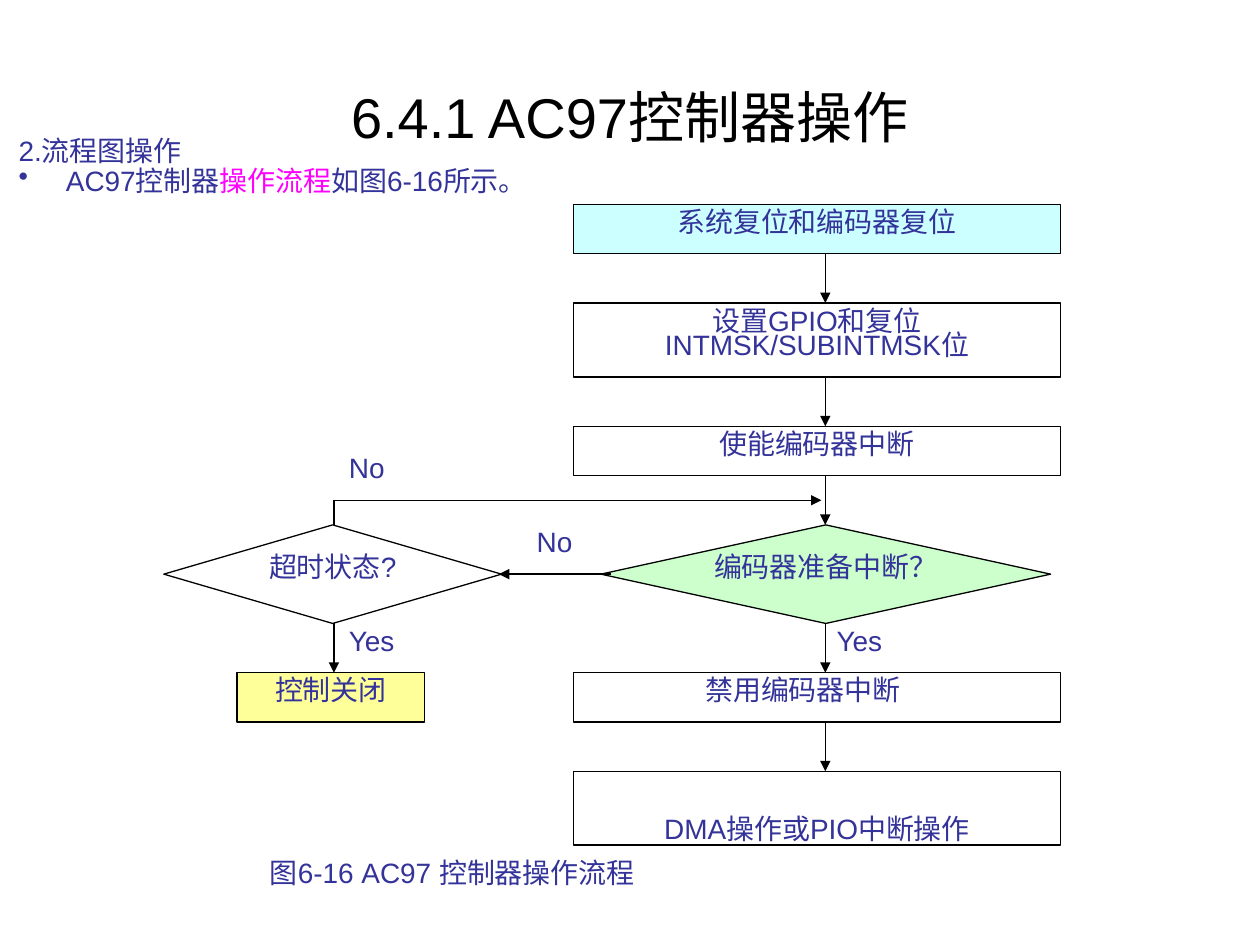
import pptx
import pptx.dml.color
import pptx.enum.shapes
import pptx.enum.text
import pptx.oxml.ns
import pptx.util
from lxml import etree

Pt = pptx.util.Pt
SHAPES = pptx.enum.shapes.MSO_SHAPE
ALIGN = pptx.enum.text.PP_ALIGN
ANCHOR = pptx.enum.text.MSO_ANCHOR

INK = "333399"
BLACK = "000000"
WHITE = "FFFFFF"
ROW_TOP, ROW_STEP = 116.9, 14.08
MAIN_LEFT, MAIN_WIDTH = 327.6, 278.6
MAIN_AXIS, SIDE_AXIS = 471.6, 190.8


def row(number):
    return round(ROW_TOP + ROW_STEP * number, 2)


def color(value):
    return pptx.dml.color.RGBColor.from_string(value)


def add_child(parent, tag, **attributes):
    return etree.SubElement(parent, pptx.oxml.ns.qn(tag), **attributes)


def style_paragraph(paragraph, align, size=16, ink=INK):
    paragraph.alignment = align
    paragraph.font.name = "Arial"
    paragraph.font.size = Pt(size)
    paragraph.font.color.rgb = color(ink)


def set_margins(frame, left=0, top=0, right=0, bottom=0):
    frame.margin_left, frame.margin_top = Pt(left), Pt(top)
    frame.margin_right, frame.margin_bottom = Pt(right), Pt(bottom)


def add_text(slide, text, left, top, width, height, align=ALIGN.LEFT,
             size=16, ink=INK, anchor=ANCHOR.TOP, wrap=True):
    box = slide.shapes.add_textbox(Pt(left), Pt(top), Pt(width), Pt(height))
    frame = box.text_frame
    frame.word_wrap = wrap
    frame.vertical_anchor = anchor
    set_margins(frame)
    frame.text = text
    style_paragraph(frame.paragraphs[0], align, size, ink)
    return frame


def add_intro(slide):
    frame = add_text(slide, "2.流程图操作", 3.6, 77.8, 648, 39.6)
    set_margins(frame, 7.2, 3.6, 7.2, 3.6)
    bullet_paragraph = frame.add_paragraph()
    for text, ink in (("AC97控制器", INK), ("操作流程", "FF00FF"), ("如图6-16所示。", INK)):
        run = bullet_paragraph.add_run()
        run.text = text
        run.font.color.rgb = color(ink)
    bullet_paragraph.space_before = Pt(4)
    for paragraph in frame.paragraphs:
        paragraph.line_spacing = 0.7
    properties = bullet_paragraph._p.get_or_add_pPr()
    properties.set("marL", str(Pt(27)))
    properties.set("indent", str(-Pt(27)))
    bullet_color = add_child(properties, "a:buClr")
    add_child(bullet_color, "a:srgbClr", val=INK)
    add_child(properties, "a:buChar", char="•")
    style_paragraph(bullet_paragraph, ALIGN.LEFT)


def add_node(slide, kind, lines, left, width, first_row, last_row, fill=WHITE):
    top = row(first_row)
    shape = slide.shapes.add_shape(
        kind, Pt(left), Pt(top), Pt(width), Pt(row(last_row) - top))
    shape.shadow.inherit = False
    shape.fill.solid()
    shape.fill.fore_color.rgb = color(fill)
    shape.line.color.rgb = color(BLACK)
    shape.line.width = Pt(0.75)
    frame = shape.text_frame
    frame.word_wrap = kind != SHAPES.FLOWCHART_DECISION
    frame.vertical_anchor = ANCHOR.TOP
    set_margins(frame)
    frame.text = "\n".join(lines)
    for paragraph in frame.paragraphs:
        style_paragraph(paragraph, ALIGN.CENTER)
    for paragraph in frame.paragraphs[1:]:
        paragraph.line_spacing = Pt(14)
    return frame


def add_step(slide, lines, first_row, last_row, fill=WHITE):
    return add_node(slide, SHAPES.FLOWCHART_PROCESS, lines, MAIN_LEFT, MAIN_WIDTH,
                    first_row, last_row, fill)


def add_line(slide, start_x, start_row, end_x, end_row, arrow=True):
    connector = slide.shapes.add_connector(
        pptx.enum.shapes.MSO_CONNECTOR.STRAIGHT,
        Pt(start_x), Pt(row(start_row)), Pt(end_x), Pt(row(end_row)))
    connector.line.color.rgb = color(BLACK)
    connector.line.width = Pt(0.75)
    if arrow:
        add_child(connector.line._get_or_add_ln(), "a:tailEnd", type="triangle")
    add_child(connector._element.spPr, "a:effectLst")


def add_flowchart(slide):
    add_step(slide, ["系统复位和编码器复位"], 0, 2, "CCFFFF")
    add_step(slide, ["设置GPIO和复位", "INTMSK/SUBINTMSK位"], 4, 7)
    add_step(slide, ["使能编码器中断"], 9, 11)
    disable_frame = add_step(slide, ["禁用编码器中断"], 19, 21)
    disable_frame.margin_right = Pt(16)
    transfer_frame = add_step(slide, ["DMA操作或PIO中断操作"], 23, 26)
    transfer_frame.margin_top = Pt(23)
    add_node(slide, SHAPES.FLOWCHART_DECISION, ["编码器准备中断？"],
             343.4, 257, 13, 17, "CCFFCC")
    add_node(slide, SHAPES.FLOWCHART_DECISION, ["超时状态?"], 93.6, 193, 13, 17)
    add_node(slide, SHAPES.RECTANGLE, ["控制关闭"], 135.4, 107.3, 19, 21, "FFFF99")

    for start_row in (2, 7, 11, 17, 21):
        add_line(slide, MAIN_AXIS, start_row, MAIN_AXIS, start_row + 2)
    add_line(slide, 349.2, 15, 285.1, 15)
    add_line(slide, SIDE_AXIS, 17, SIDE_AXIS, 19)
    add_line(slide, SIDE_AXIS, 13, SIDE_AXIS, 12, arrow=False)
    add_line(slide, SIDE_AXIS, 12, 469.4, 12)

    for text, left, label_row in (("Yes", 199.4, 17), ("Yes", 478.1, 17),
                                  ("No", 199.4, 10), ("No", 306.7, 13)):
        add_text(slide, text, left, row(label_row), 42.5, 28.1)


def main():
    presentation = pptx.Presentation()
    presentation.slide_width = Pt(720)
    presentation.slide_height = Pt(540)
    slide = presentation.slides.add_slide(presentation.slide_layouts[6])
    add_text(slide, "6.4.1 AC97控制器操作", 36, 21.6, 648, 90,
             ALIGN.CENTER, 32, BLACK, ANCHOR.MIDDLE)
    add_intro(slide)
    add_flowchart(slide)
    add_text(slide, "图6-16 AC97 控制器操作流程", 141.1, 485.3, 234.7, 26.6,
             ALIGN.CENTER, anchor=ANCHOR.MIDDLE, wrap=False)
    presentation.save("out.pptx")


if __name__ == "__main__":
    main()
